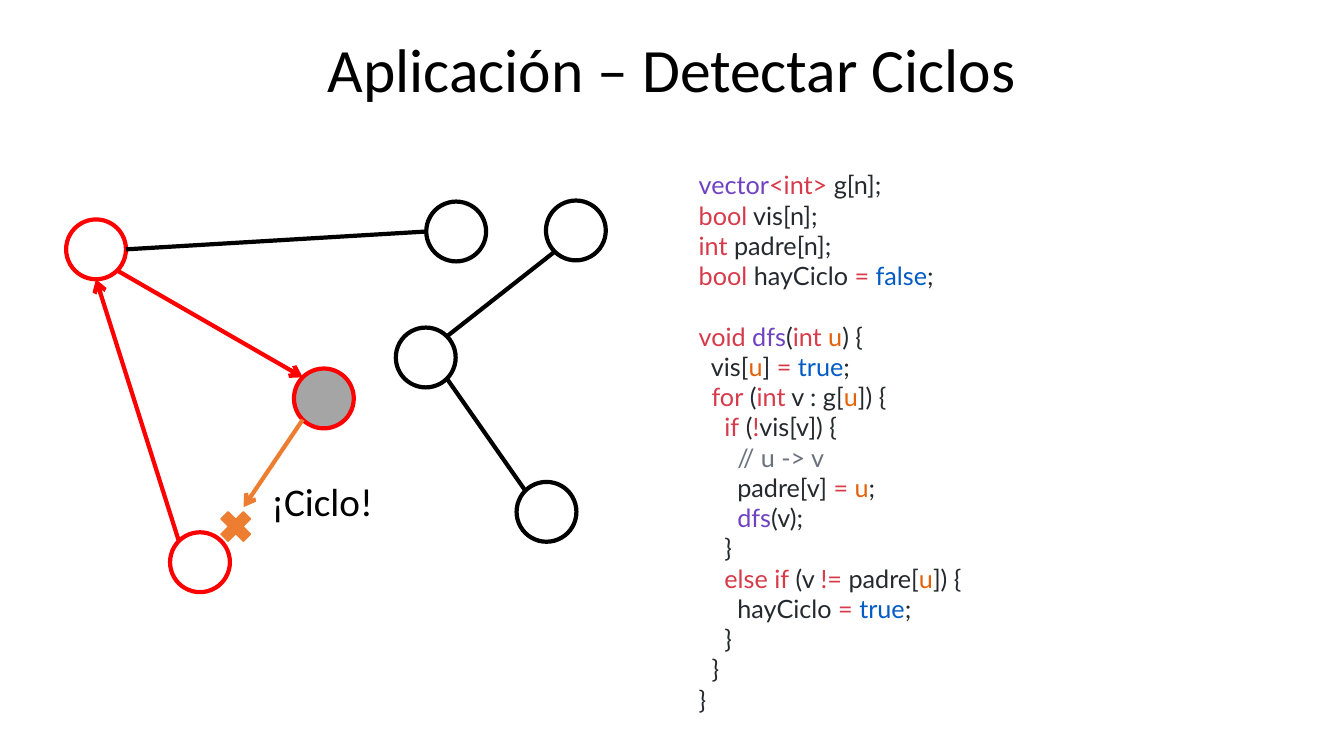
from dataclasses import dataclass
from math import cos, radians, sin

from lxml.etree import SubElement
from pptx import Presentation
from pptx.dml.color import RGBColor
from pptx.enum.shapes import MSO_CONNECTOR, MSO_SHAPE
from pptx.enum.text import MSO_ANCHOR, MSO_AUTO_SIZE, PP_ALIGN
from pptx.oxml.ns import qn
from pptx.util import Pt


@dataclass(frozen=True)
class Theme:
    """Colours, fonts and sizes of the slide."""
    black: str = "000000"
    visited: str = "FF0000"
    current: str = "A5A5A5"
    cycle: str = "ED7D31"
    name: str = "6F42C1"
    keyword: str = "D73A49"
    plain: str = "24292E"
    literal: str = "005CC5"
    variable: str = "E36209"
    comment: str = "6A737D"
    text_font: str = "Calibri"
    code_font: str = "Lato"
    title_size: float = 44
    label_size: float = 28
    code_size: float = 18
    blank_line: float = 21.6
    stroke: float = 3
    thin: float = 1


T = Theme()
PX = 9525
DIAMETER = 57
RIGHT, BOTTOM_RIGHT, BOTTOM, BOTTOM_LEFT, LEFT, TOP_LEFT, TOP_RIGHT = 0, 45, 90, 135, 180, 225, 315

NODES = {
    "A": (63, 209, T.visited, None),
    "B": (406, 192, T.black, None),
    "C": (280, 351, T.visited, T.current),
    "D": (377, 312, T.black, None),
    "E": (492, 459, T.black, None),
    "F": (520, 191, T.black, None),
    "G": (162, 507, T.visited, None),
}
EDGES = [
    ("A", RIGHT, "B", LEFT, T.black, False),
    ("F", BOTTOM_LEFT, "D", TOP_RIGHT, T.black, False),
    ("A", BOTTOM_RIGHT, "C", TOP_LEFT, T.visited, True),
    ("G", TOP_LEFT, "A", BOTTOM, T.visited, True),
    ("D", BOTTOM_RIGHT, "E", TOP_LEFT, T.black, False),
]

N, K, P, L, V, C = T.name, T.keyword, T.plain, T.literal, T.variable, T.comment
DECLARATIONS = [
    [(N, "vector"), (K, "<int>"), (P, " g[n];")],
    [(K, "bool"), (P, " vis[n];")],
    [(K, "int"), (P, " padre[n];")],
    [(K, "bool "), (P, "hayCiclo "), (K, "= "), (L, "false"), (P, ";")],
]
DFS = [
    [(K, "void "), (N, "dfs"), (P, "("), (K, "int "), (V, "u"), (P, ") {")],
    [(P, "  vis["), (V, "u"), (P, "] "), (K, "= "), (L, "true"), (P, ";")],
    [(K, "  for"), (P, " ("), (K, "int"), (P, " v : g["), (V, "u"), (P, "]) {")],
    [(K, "    if"), (P, " ("), (K, "!"), (P, "vis[v]) {")],
    [(C, "      // u -> v")],
    [(P, "      padre[v] "), (K, "= "), (V, "u"), (P, ";")],
    [(N, "      dfs"), (P, "(v);")],
    [(P, "    }")],
    [(K, "    else if"), (P, " (v "), (K, "!="), (P, " padre["), (V, "u"), (P, "]) {")],
    [(P, "      hayCiclo "), (K, "= "), (L, "true"), (P, ";")],
    [(P, "    }")],
    [(P, "  }")],
    [(P, "}")],
]


def rgb(color):
    """Turn a hex string into a colour."""
    return RGBColor.from_string(color)


def px(*lengths):
    """Turn pixels into EMU."""
    return [round(v * PX) for v in lengths]


def set_font(font, name, size, color=None):
    """Set the typeface, size and optional colour."""
    font.name, font.size = name, Pt(size)
    if color:
        font.color.rgb = rgb(color)


def add_title(s, text):
    """Fill and place the title placeholder."""
    sp = s.shapes.title
    sp.left, sp.top, sp.width, sp.height = px(0, 0, 1280, 139)
    tf = sp.text_frame
    tf.text, tf.vertical_anchor = text, MSO_ANCHOR.MIDDLE
    p = tf.paragraphs[0]
    p.alignment, p.line_spacing = PP_ALIGN.CENTER, 0.9
    set_font(p.font, T.text_font, T.title_size, T.black)


def add_mark(s, kind, box, line, width, fill=None):
    """Add an outlined preset shape."""
    sp = s.shapes.add_shape(kind, *px(*box))
    sp.shadow.inherit = False
    sp.line.color.rgb, sp.line.width = rgb(line), Pt(width)
    if fill:
        sp.fill.solid()
        sp.fill.fore_color.rgb = rgb(fill)
    else:
        sp.fill.background()


def rim(node, angle):
    """Find the point on a node's rim at a clockwise angle."""
    x, y = NODES[node][:2]
    r, a = DIAMETER / 2, radians(angle)
    return x + r + r * cos(a), y + r + r * sin(a)


def add_edge(s, start, end, color, arrow):
    """Join two points, with an arrowhead at the end if asked."""
    sp = s.shapes.add_connector(MSO_CONNECTOR.STRAIGHT, *px(*start, *end))
    sp.line.color.rgb, sp.line.width = rgb(color), Pt(T.stroke)
    if arrow:
        SubElement(sp.line._get_or_add_ln(), qn("a:tailEnd"), type="arrow")
    SubElement(sp._element.spPr, qn("a:effectLst"))


def add_box(s, box, wrap):
    """Add a text box that grows with its text."""
    tf = s.shapes.add_textbox(*px(*box)).text_frame
    tf.word_wrap, tf.auto_size = wrap, MSO_AUTO_SIZE.SHAPE_TO_FIT_TEXT
    return tf


def add_label(s, box, text):
    """Add a one-line label."""
    p = add_box(s, box, False).paragraphs[0]
    p.text = text
    set_font(p.font, T.text_font, T.label_size, T.black)


def add_code(s, box, blocks):
    """Add coloured code with a gap between blocks."""
    tf = add_box(s, box, True)
    p = tf.paragraphs[0]
    for b, block in enumerate(blocks):
        for i, tokens in enumerate(block):
            if b or i:
                p = tf.add_paragraph()
            if b and not i:
                p.space_before = Pt(T.blank_line)
            set_font(p.font, T.code_font, T.code_size)
            for color, text in tokens:
                r = p.add_run()
                r.text = text
                set_font(r.font, T.code_font, T.code_size, color)


def main():
    """Build and save the slide."""
    prs = Presentation()
    prs.slide_width, prs.slide_height = px(1280, 720)
    s = prs.slides.add_slide(prs.slide_layouts[5])
    add_title(s, "Aplicación – Detectar Ciclos")
    for x, y, line, fill in NODES.values():
        add_mark(s, MSO_SHAPE.OVAL, (x, y, DIAMETER, DIAMETER), line, T.stroke, fill)
    for a, a_angle, b, b_angle, color, arrow in EDGES:
        add_edge(s, rim(a, a_angle), rim(b, b_angle), color, arrow)
    add_edge(s, rim("C", BOTTOM_LEFT), (232, 483), T.cycle, True)
    add_mark(s, MSO_SHAPE.MATH_MULTIPLY, (204, 481, 41, 41), T.cycle, T.thin, T.cycle)
    add_label(s, (249, 450, 117, 55), "¡Ciclo!")
    add_code(s, (656, 157, 444, 533), [DECLARATIONS, DFS])
    prs.save("out.pptx")


if __name__ == "__main__":
    main()
